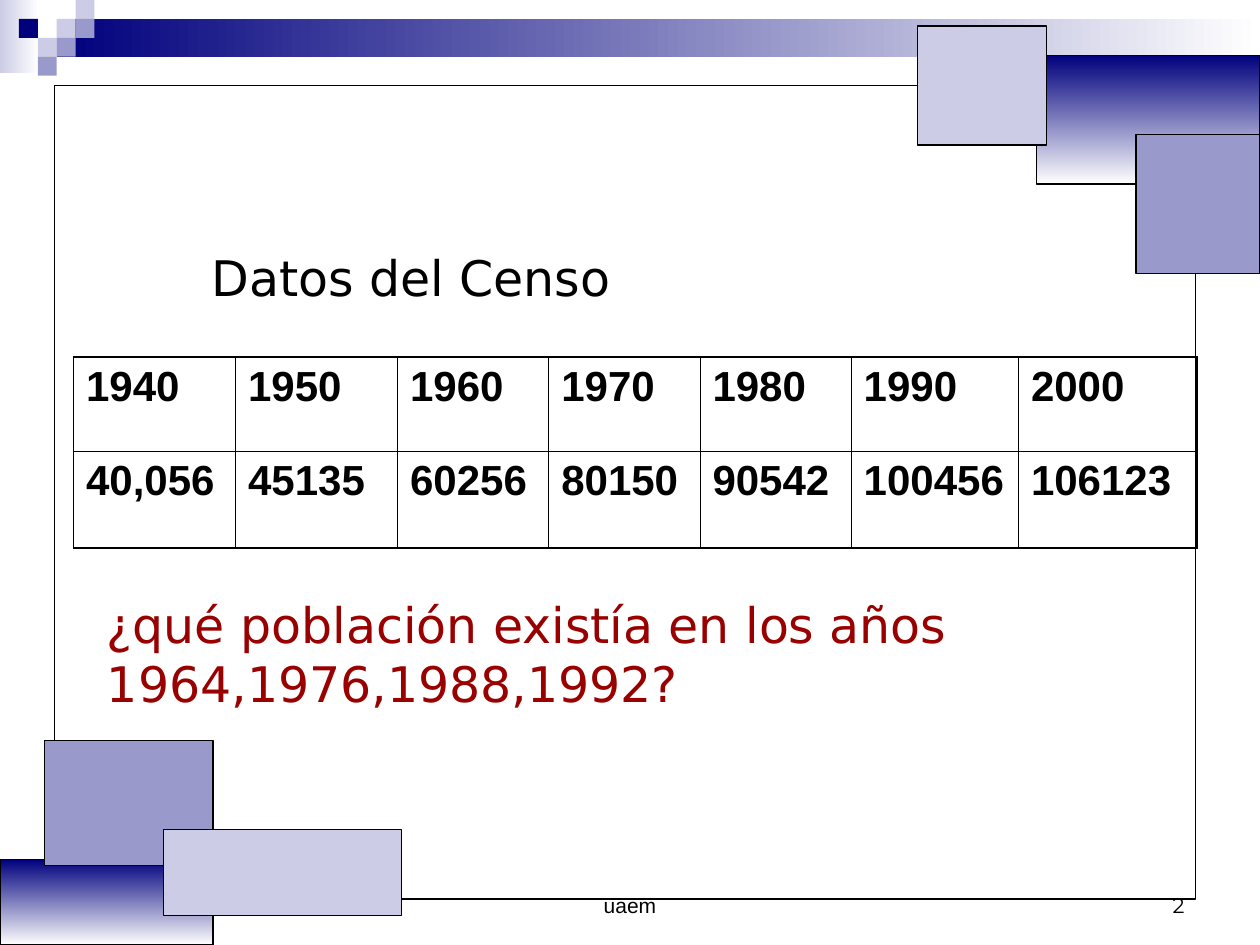
from dataclasses import dataclass
from lxml import etree
from pptx import Presentation
from pptx.dml.color import RGBColor
from pptx.enum import shapes, text
from pptx.oxml import ns
from pptx.util import Pt


@dataclass(frozen=True)
class Theme:
    navy: str = "00007D"
    mid: str = "9999CC"
    pale: str = "CCCCE6"
    white: str = "FFFFFF"
    ink: str = "000000"
    red: str = "990000"
    sans: str = "DejaVu Sans"
    body: str = "Arial"
    num: str = "Montserrat"
    big: int = 28
    cell: int = 24
    small: int = 12
    edge: float = 0.75
    thin: float = 0.45
    thick: float = 1.08


T = Theme()
ALIGN, ANCHOR = text.PP_ALIGN, text.MSO_ANCHOR

BARS = [
    (0, 0, 22.3, 41.8, (T.pale, T.white, 0)),
    (32.4, 10.8, 687.6, 21.6, (T.navy, T.white, 0)),
]
UNIT = 10.8
TILES = [
    (3, 1, T.pale), (4, 0, T.pale), (4, 1, T.mid), (2, 2, T.pale),
    (1, 1, T.navy), (3, 2, T.mid), (2, 3, T.mid),
]
FADE = (T.navy, T.white, 270)
BOXES = [
    (31, 48.7, 652.3, 465, None),
    (0, 491, 121.7, 49, FADE),
    (25.3, 423, 96.5, 71.5, T.mid),
    (93.6, 474, 136, 49, T.pale),
    (592.4, 31.7, 127.6, 73.6, FADE),
    (649.2, 77, 70.8, 79.4, T.mid),
    (524.2, 14.9, 74, 68, T.pale),
]
CENSUS = [
    ["1940", "1950", "1960", "1970", "1980", "1990", "2000"],
    ["40,056", "45135", "60256", "80150", "90542", "100456", "106123"],
]
COLS = [92.6, 92.6, 86.4, 86.4, 86.4, 95.6, 102]
ROWS = [54, 55]
ORIGIN = (42, 204)
TEXTS = [
    ("Datos del Censo", (113.8, 138.2, 426, 41),
     T.sans, T.big, T.ink, ALIGN.LEFT, ANCHOR.TOP),
    ("¿qué población existía en los años 1964,1976,1988,1992?",
     (54, 336.2, 552, 75), T.sans, T.big, T.red, ALIGN.LEFT, ANCHOR.TOP),
    ("uaem", (246, 492, 228, 36),
     T.body, T.small, T.ink, ALIGN.CENTER, ANCHOR.BOTTOM),
    ("2", (516, 492, 168, 36),
     T.num, T.small, T.ink, ALIGN.RIGHT, ANCHOR.BOTTOM),
]


def rgb(code):
    return RGBColor.from_string(code)


def paint(fill, look):
    if look is None:
        fill.background()
    elif isinstance(look, tuple):
        *ends, angle = look
        fill.gradient()
        fill.gradient_angle = angle
        for stop, code in zip(fill.gradient_stops, ends):
            stop.color.rgb = rgb(code)
    else:
        fill.solid()
        fill.fore_color.rgb = rgb(look)


def block(slide, spot, look, edge=False):
    shape = slide.shapes.add_shape(
        shapes.MSO_SHAPE.RECTANGLE, *map(Pt, spot))
    shape.shadow.inherit = False
    paint(shape.fill, look)
    if edge:
        shape.line.color.rgb = rgb(T.ink)
        shape.line.width = Pt(T.edge)
    else:
        shape.line.fill.background()


def style(para, face, size, code, bold=False):
    font = para.font
    font.name, font.size, font.bold = face, Pt(size), bold
    font.color.rgb = rgb(code)


def border(cell, side, width):
    props = cell._tc.get_or_add_tcPr()
    line = etree.SubElement(props, ns.qn("a:ln" + side), w=str(Pt(width)))
    fill = etree.SubElement(line, ns.qn("a:solidFill"))
    etree.SubElement(fill, ns.qn("a:srgbClr"), val=T.ink)


def census(slide):
    high, wide = len(ROWS), len(COLS)
    size = (sum(COLS), sum(ROWS))
    table = slide.shapes.add_table(
        high, wide, *map(Pt, ORIGIN + size)).table
    table.first_row = table.horz_banding = False
    for col, width in zip(table.columns, COLS):
        col.width = Pt(width)
    for row, height in zip(table.rows, ROWS):
        row.height = Pt(height)
    for r, line in enumerate(CENSUS):
        for c, value in enumerate(line):
            cell = table.cell(r, c)
            cell.text = value
            style(cell.text_frame.paragraphs[0], T.body, T.cell, T.ink, True)
            outer = {"L": c == 0, "R": c == wide - 1,
                     "T": r == 0, "B": r == high - 1}
            for side, rim in outer.items():
                border(cell, side, T.thick if rim else T.thin)
            cell.fill.background()


def label(slide, words, spot, face, size, code, align, anchor):
    frame = slide.shapes.add_textbox(*map(Pt, spot)).text_frame
    frame.word_wrap = True
    frame.vertical_anchor = anchor
    para = frame.paragraphs[0]
    para.text = words
    para.alignment = align
    style(para, face, size, code)


def main():
    deck = Presentation()
    deck.slide_width, deck.slide_height = Pt(720), Pt(540)
    slide = deck.slides.add_slide(deck.slide_layouts[6])
    for *spot, look in BARS:
        block(slide, spot, look)
    for col, row, code in TILES:
        block(slide, (col * UNIT, row * UNIT, UNIT, UNIT), code)
    for *spot, look in BOXES:
        block(slide, spot, look, True)
    census(slide)
    for item in TEXTS:
        label(slide, *item)
    deck.save("out.pptx")


if __name__ == "__main__":
    main()
